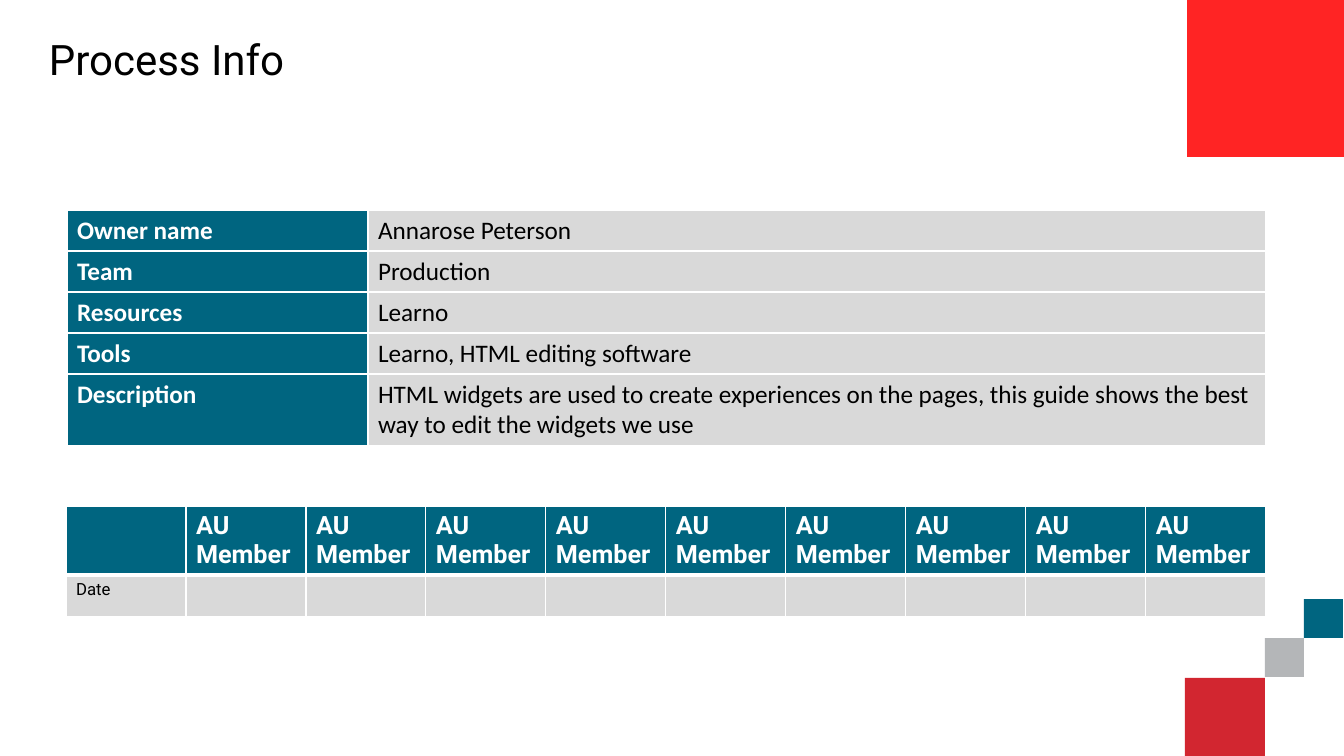
from lxml.etree import SubElement
from pptx import Presentation
from pptx.dml.color import RGBColor
from pptx.enum.shapes import MSO_SHAPE as Shape
from pptx.enum.text import MSO_ANCHOR as Anchor
from pptx.oxml.ns import qn
from pptx.util import Emu, Pt

PX = 914400 / 100.8
TEAL, RED, CRIMSON = "006580", "FF2424", "D22630"
SILVER, PALE, WHITE, BLACK = "B4B6B8", "D9D9D9", "FFFFFF", "000000"


def px(length):
    return Emu(round(length * PX))


def color(value):
    return RGBColor.from_string(value)


class SlideBuilder:
    label = {"name": "Calibri", "size": Pt(18), "bold": True, "color": WHITE}
    value = label | {"bold": False, "color": BLACK}
    header = label | {"name": "Roboto"}
    date = value | {"name": "Roboto", "size": Pt(12)}
    title = date | {"size": Pt(30)}

    def __init__(self, slide):
        self.slide = slide

    def fill_text(self, frame, text, style):
        paragraph = frame.paragraphs[0]
        paragraph.text = text
        for name, setting in style.items():
            if name == "color":
                paragraph.font.color.rgb = color(setting)
            else:
                setattr(paragraph.font, name, setting)
        return paragraph

    def square(self, left, top, size, fill):
        shape = self.slide.shapes.add_shape(
            Shape.RECTANGLE, px(left), px(top), px(size), px(size))
        shape.shadow.inherit = False
        shape.fill.solid()
        shape.fill.fore_color.rgb = color(fill)
        shape.line.fill.background()

    def heading(self, left, top, width, height, text):
        box = self.slide.shapes.add_textbox(px(left), px(top), px(width), px(height))
        frame = box.text_frame
        frame.word_wrap = True
        frame.vertical_anchor = Anchor.MIDDLE
        self.fill_text(frame, text, self.title).line_spacing = 0.9

    def table(self, left, top, widths, heights):
        table = self.slide.shapes.add_table(
            len(heights), len(widths), px(left), px(top),
            px(sum(widths)), px(sum(heights))).table
        table.first_row = table.horz_banding = False
        for column, width in zip(table.columns, widths):
            column.width = px(width)
        for row, height in zip(table.rows, heights):
            row.height = px(height)
        return table

    def cell(self, cell, text, style, fill, bottom=1):
        self.fill_text(cell.text_frame, text, style)
        properties = cell._tc.get_or_add_tcPr()
        for side, width in {"L": 1, "R": 1, "T": 1, "B": bottom}.items():
            line = SubElement(properties, qn(f"a:ln{side}"), w=str(Pt(width)))
            paint = SubElement(line, qn("a:solidFill"))
            SubElement(paint, qn("a:srgbClr"), val=WHITE)
        cell.fill.solid()
        cell.fill.fore_color.rgb = color(fill)


def main():
    presentation = Presentation()
    presentation.slide_width, presentation.slide_height = px(1344), px(756)
    slide = presentation.slides.add_slide(presentation.slide_layouts[6])
    builder = SlideBuilder(slide)

    for square in [
        (1265, 638, 39, SILVER),
        (1304, 599, 39, TEAL),
        (1185, 678, 80, CRIMSON),
        (1187, -1, 158, RED),
    ]:
        builder.square(*square)

    process = [
        ("Owner name", "Annarose Peterson"),
        ("Team", "Production"),
        ("Resources", "Learno"),
        ("Tools", "Learno, HTML editing software"),
        ("Description", "HTML widgets are used to create experiences on the pages, "
                        "this guide shows the best way to edit the widgets we use"),
    ]
    process_table = builder.table(67, 210, [301, 898], [41] * 4 + [70])
    for row, (label, value) in enumerate(process):
        builder.cell(process_table.cell(row, 0), label, builder.label, TEAL)
        builder.cell(process_table.cell(row, 1), value, builder.value, PALE)

    members = 9
    member_table = builder.table(66, 506, [120] * (members + 1), [69, 41])
    headers = [""] + ["AU Member"] * members
    dates = ["Date"] + [""] * members
    for column, (header, date) in enumerate(zip(headers, dates)):
        builder.cell(member_table.cell(0, column), header, builder.header, TEAL, bottom=3)
        builder.cell(member_table.cell(1, column), date, builder.date, PALE)

    builder.heading(39, 12, 1170, 99, "Process Info")
    presentation.save("out.pptx")


if __name__ == "__main__":
    main()
